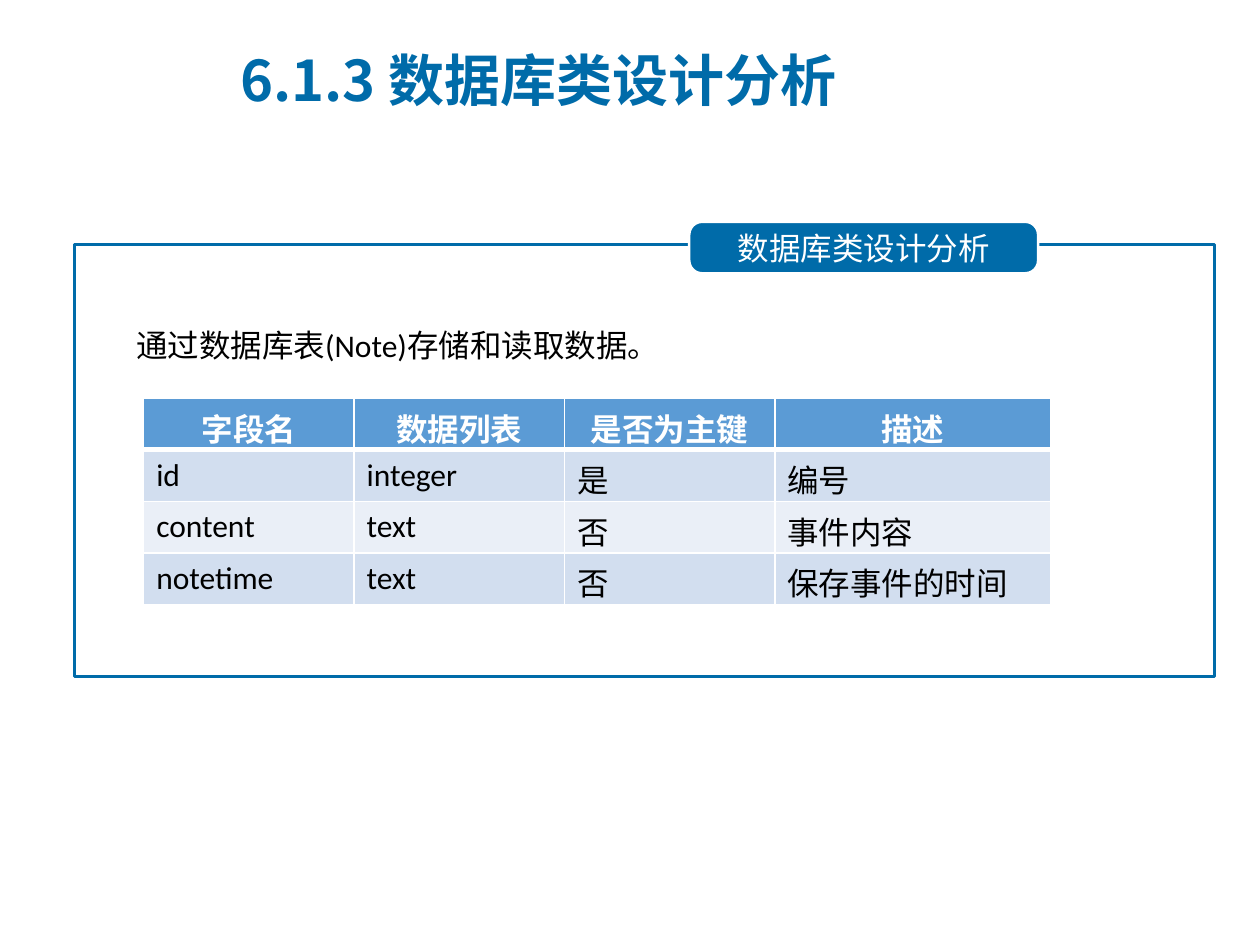
from dataclasses import dataclass

from lxml import etree
from pptx import Presentation
from pptx import util as u
from pptx.dml.color import RGBColor
from pptx.enum import shapes, text
from pptx.oxml import ns


@dataclass(frozen=True)
class Theme:
    """Colours, fonts and type sizes of the slide."""
    accent: str = "006BA9"
    header: str = "5B9BD5"
    bands: tuple = ("D2DEEF", "EAEFF7")
    white: str = "FFFFFF"
    black: str = "000000"
    latin: str = "Calibri"
    chinese: str = "Noto Sans CJK SC"
    title_size: int = 32
    body_size: int = 18
    outline: float = 1.5
    rule: int = 1
    header_rule: int = 3


THEME = Theme()
FIELDS = [
    ("字段名", "数据列表", "是否为主键", "描述"),
    ("id", "integer", "是", "编号"),
    ("content", "text", "否", "事件内容"),
    ("notetime", "text", "否", "保存事件的时间"),
]
COLUMN_WIDTHS = (1.67, 1.67, 1.67, 2.19)
ROW_HEIGHT = 0.41


def apply_format(target, values):
    """Set each named attribute on the target."""
    for name, value in values.items():
        setattr(target, name, value)


def write(frame, content, color, font=THEME.latin, size=THEME.body_size,
          bold=False, align=text.PP_ALIGN.LEFT):
    """Write one formatted line with Latin and Chinese typefaces."""
    paragraph = frame.paragraphs[0]
    paragraph.alignment = align
    run = paragraph.add_run()
    run.text = content
    apply_format(run.font, {"name": font, "size": u.Pt(size), "bold": bold})
    run.font.color.rgb = RGBColor.from_string(color)
    latin = run.font._element.find(ns.qn("a:latin"))
    chinese = etree.Element(ns.qn("a:ea"), typeface=THEME.chinese)
    latin.addnext(chinese)


def add_text(slide, box, content, color, frame_format, **style):
    """Add a wrapping text box."""
    shape = slide.shapes.add_textbox(*map(u.Inches, box))
    apply_format(shape.text_frame, {"word_wrap": True, **frame_format})
    write(shape.text_frame, content, color, **style)


def add_box(slide, kind, box, line, fill=None):
    """Add an outlined preset shape, filled when a colour is given."""
    shape = slide.shapes.add_shape(kind, *map(u.Inches, box))
    shape.shadow.inherit = False
    shape.line.color.rgb = RGBColor.from_string(line)
    shape.line.width = u.Pt(THEME.outline)
    if fill:
        shape.fill.solid()
        shape.fill.fore_color.rgb = RGBColor.from_string(fill)
    else:
        shape.fill.background()
    return shape


def add_badge(slide, box, content):
    """Add the rounded label that sits on the frame."""
    kind = shapes.MSO_SHAPE.ROUNDED_RECTANGLE
    badge = add_box(slide, kind, box, THEME.white, THEME.accent)
    badge.adjustments[0] = 0.25
    apply_format(badge.text_frame, {
        "word_wrap": True,
        "vertical_anchor": text.MSO_ANCHOR.MIDDLE,
        "margin_left": u.Inches(0.24), "margin_right": u.Inches(0.24),
        "margin_top": u.Inches(0.06), "margin_bottom": u.Inches(0.06),
    })
    write(badge.text_frame, content, THEME.white, font=THEME.chinese,
          align=text.PP_ALIGN.CENTER)


def set_borders(cell, widths):
    """Draw white cell borders with a width for each side."""
    properties = cell._tc.get_or_add_tcPr()
    for side, width in widths.items():
        line = etree.SubElement(properties, ns.qn(f"a:ln{side}"), w=str(u.Pt(width)))
        fill = etree.SubElement(line, ns.qn("a:solidFill"))
        etree.SubElement(fill, ns.qn("a:srgbClr"), val=THEME.white)


def format_cell(cell, content, row):
    """Fill, rule and write a cell according to its row."""
    is_header = row == 0
    set_borders(cell, {
        "L": THEME.rule, "R": THEME.rule,
        "T": THEME.header_rule if row == 1 else THEME.rule,
        "B": THEME.header_rule if is_header else THEME.rule,
    })
    color = THEME.header if is_header else THEME.bands[(row - 1) % 2]
    cell.fill.solid()
    cell.fill.fore_color.rgb = RGBColor.from_string(color)
    write(cell.text_frame, content, THEME.white if is_header else THEME.black,
          bold=is_header,
          align=text.PP_ALIGN.CENTER if is_header else text.PP_ALIGN.LEFT)


def add_field_table(slide, left, top):
    """Add the table of database fields."""
    size = (sum(COLUMN_WIDTHS), ROW_HEIGHT * len(FIELDS))
    table = slide.shapes.add_table(
        len(FIELDS), len(COLUMN_WIDTHS), *map(u.Inches, (left, top, *size))).table
    for column, width in zip(table.columns, COLUMN_WIDTHS):
        column.width = u.Inches(width)
    for row, values in enumerate(FIELDS):
        table.rows[row].height = u.Inches(ROW_HEIGHT)
        for column, content in enumerate(values):
            format_cell(table.cell(row, column), content, row)


def main():
    """Build and save the database design slide."""
    presentation = Presentation()
    apply_format(presentation, {"slide_width": u.Inches(10),
                                "slide_height": u.Inches(7.5)})
    slide = presentation.slides.add_slide(presentation.slide_layouts[6])
    add_text(slide, (1.81, 0.21, 5.63, 0.84), "6.1.3 数据库类设计分析",
             THEME.accent, {"vertical_anchor": text.MSO_ANCHOR.MIDDLE},
             font=THEME.chinese, size=THEME.title_size, bold=True)
    add_box(slide, shapes.MSO_SHAPE.RECTANGLE, (0.59, 1.94, 9.05, 3.43), THEME.accent)
    add_badge(slide, (5.47, 1.76, 2.77, 0.41), "数据库类设计分析")
    add_text(slide, (0.59, 2.54, 9.05, 0.4), "通过数据库表(Note)存储和读取数据。",
             THEME.black, {"margin_left": u.Inches(0.49)})
    add_field_table(slide, 1.14, 3.16)
    presentation.save("out.pptx")


if __name__ == "__main__":
    main()
